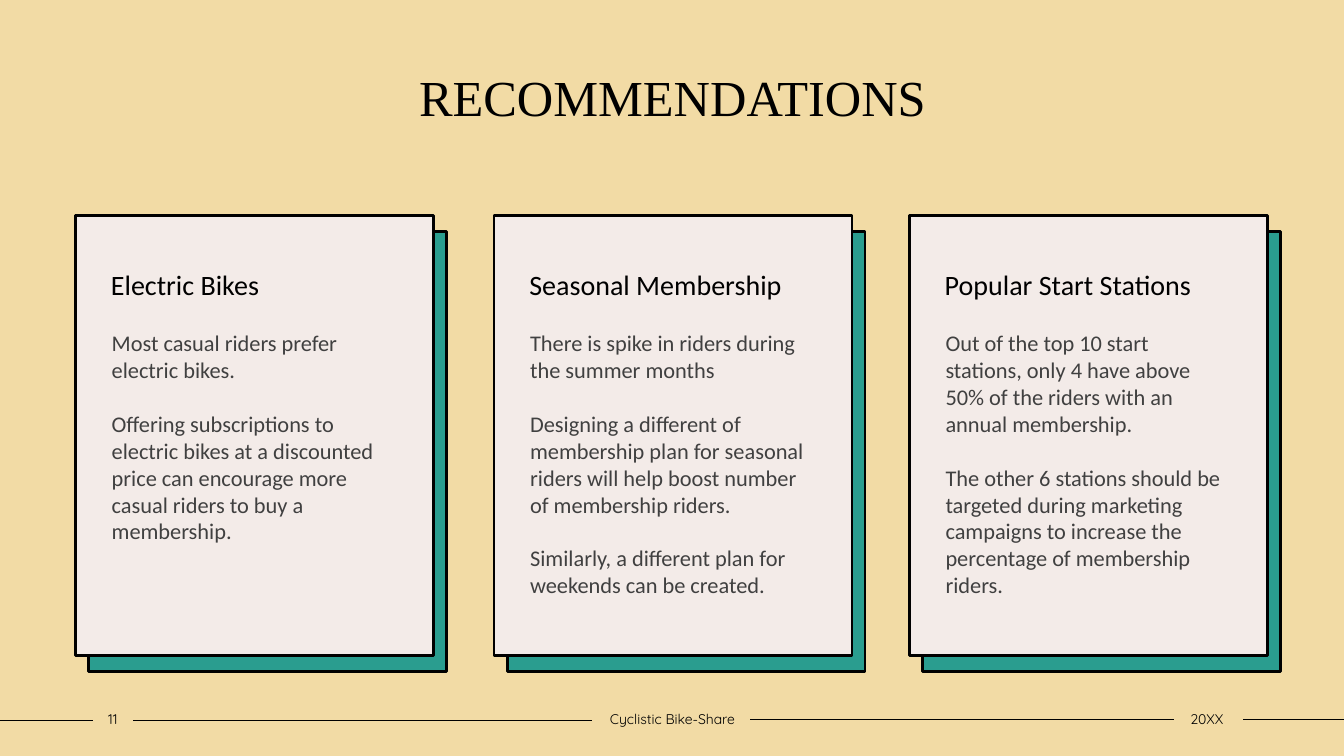
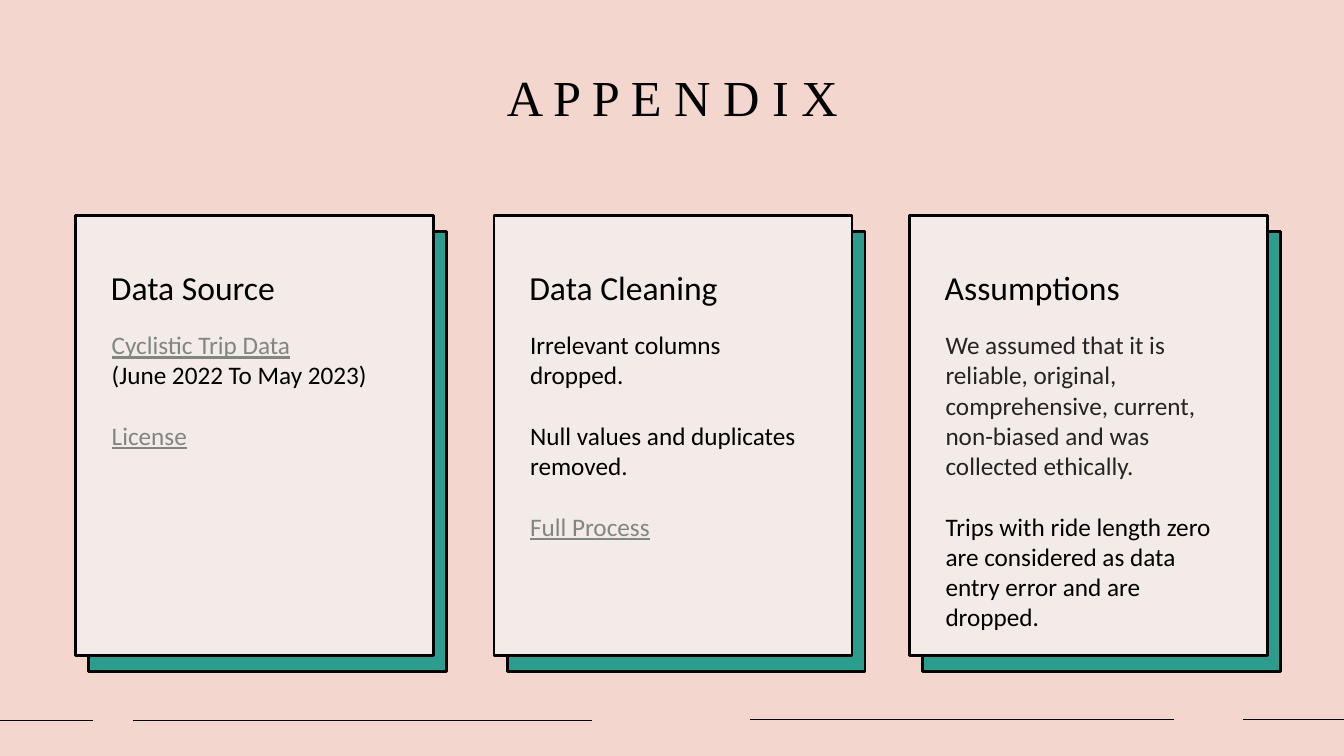
from lxml import etree
from pptx import Presentation
from pptx.dml.color import RGBColor
from pptx.enum.shapes import MSO_CONNECTOR, MSO_SHAPE
from pptx.enum.text import MSO_ANCHOR, PP_ALIGN
from pptx.oxml.ns import qn
from pptx.util import Inches, Pt

RECT, STRAIGHT = MSO_SHAPE.RECTANGLE, MSO_CONNECTOR.STRAIGHT
TOP, MIDDLE = MSO_ANCHOR.TOP, MSO_ANCHOR.MIDDLE
LEFT, CENTER = PP_ALIGN.LEFT, PP_ALIGN.CENTER

# Colours and fonts
SAND = RGBColor(0xF2, 0xDB, 0xA5)
PINK = RGBColor(0xF3, 0xD6, 0xCD)
TEAL = RGBColor(0x2A, 0x9D, 0x8F)
CARD = RGBColor(0xF3, 0xEB, 0xE8)
BLACK = RGBColor(0, 0, 0)
DARK = RGBColor(0x24, 0x24, 0x24)
GRAY = RGBColor(0x40, 0x40, 0x40)
LINK = RGBColor(0x82, 0x86, 0x83)
SERIF, SANS, FOOT = "Times New Roman", "Calibri", "Quicksand"

# Shared geometry, in inches
CARD_LEFTS = [0.75, 4.9, 9.02]
CARD_TOP, CARD_W, CARD_H = 2.14, 3.55, 4.36
FOOTER_LINES = [(0, 0.92, 7.15), (1.32, 5.87, 7.15),
                (7.44, 11.64, 7.14), (12.33, 13.33, 7.14)]
FOOTER_BOXES = [(0.92, 0.4), (5.87, 1.6), (11.62, 0.7)]

# Body paragraphs: text, colour, starts a new block
SLIDES = [
    {"title": "RECOMMENDATIONS", "bg": SAND, "head": 20, "body": 16,
     "footer": ["11", "Cyclistic Bike-Share", "20XX"],
     "cards": [
         ("Electric Bikes", [
             ("Most casual riders prefer electric bikes.", GRAY, False),
             ("Offering subscriptions to electric bikes at a discounted price "
              "can encourage more casual riders to buy a membership.", GRAY, True)]),
         ("Seasonal Membership", [
             ("There is spike in riders during the summer months", GRAY, False),
             ("Designing a different of membership plan for seasonal riders "
              "will help boost number of membership riders.", GRAY, True),
             ("Similarly, a different plan for weekends can be created.", GRAY, True)]),
         ("Popular Start Stations", [
             ("Out of the top 10 start stations, only 4 have above 50% of the "
              "riders with an annual membership.", GRAY, False),
             ("The other 6 stations should be targeted during marketing campaigns "
              "to increase the percentage of membership riders.", GRAY, True)])]},
    {"title": "A P P E N D I X", "bg": PINK, "head": 24, "body": 18,
     "footer": [],
     "cards": [
         ("Data Source", [
             ("Cyclistic Trip Data", LINK, False),
             ("(June 2022 To May 2023)", BLACK, False),
             ("License", LINK, True)]),
         ("Data Cleaning", [
             ("Irrelevant columns dropped.", BLACK, False),
             ("Null values and duplicates removed.", BLACK, True),
             ("Full Process", LINK, True)]),
         ("Assumptions", [
             ("We assumed that it is reliable, original, comprehensive, current, "
              "non-biased and was collected ethically.", DARK, False),
             ("Trips with ride length zero are considered as data entry error "
              "and are dropped.", BLACK, True)])]},
]


def write(sp, paragraphs, size, font=SANS, align=LEFT, anchor=TOP,
          insets=(0.1, 0.05, 0.1, 0.05), spacing=None):
    """Fill a shape with (text, colour, starts a new block) paragraphs."""
    tf = sp.text_frame
    tf.word_wrap = True
    tf.vertical_anchor = anchor
    (tf.margin_left, tf.margin_top,
     tf.margin_right, tf.margin_bottom) = [Inches(v) for v in insets]
    for i, (text, color, new_block) in enumerate(paragraphs):
        p = tf.add_paragraph() if i else tf.paragraphs[0]
        p.alignment = align
        if spacing:
            p.line_spacing = spacing
        if new_block:
            p.space_before = Pt(size * 1.2)
        r = p.add_run()
        r.text = text
        r.font.name, r.font.size = font, Pt(size)
        r.font.color.rgb = color
        if color == LINK:
            r.font.underline = True


def add_card(s, left, top, fill):
    sp = s.shapes.add_shape(RECT, Inches(left), Inches(top),
                            Inches(CARD_W), Inches(CARD_H))
    sp.shadow.inherit = False
    sp.fill.solid()
    sp.fill.fore_color.rgb = fill
    sp.line.color.rgb = BLACK
    sp.line.width = Pt(2)
    return sp


prs = Presentation()
prs.slide_width, prs.slide_height = Inches(13.33), Inches(7.5)

for data in SLIDES:
    s = prs.slides.add_slide(prs.slide_layouts[6])
    s.background.fill.solid()
    s.background.fill.fore_color.rgb = data["bg"]

    # Footer lines
    for x1, x2, y in FOOTER_LINES:
        line = s.shapes.add_connector(STRAIGHT, Inches(x1), Inches(y),
                                      Inches(x2), Inches(y))
        line.line.color.rgb = BLACK
        line.line.width = Pt(1)
        etree.SubElement(line._element.spPr, qn("a:effectLst"))

    # Title
    title = s.shapes.add_textbox(Inches(1.25), Inches(0.56),
                                 Inches(10.84), Inches(1.11))
    write(title, [(data["title"], BLACK, False)], 36, font=SERIF, align=CENTER,
          insets=(0.1, 0.1, 0.1, 0.05))

    # Cards, each on an offset teal backing
    for left, (heading, body) in zip(CARD_LEFTS, data["cards"]):
        add_card(s, left + 0.13, CARD_TOP + 0.16, TEAL)
        card = add_card(s, left, CARD_TOP, CARD)
        write(card, [(heading, BLACK, False)], data["head"],
              insets=(0.35, 0.55, 0.1, 0.05), spacing=0.9)
        box = s.shapes.add_textbox(Inches(left + 0.26), Inches(3.22),
                                   Inches(3), Inches(3.05))
        write(box, body, data["body"])

    # Footer text
    for (left, width), text in zip(FOOTER_BOXES, data["footer"]):
        box = s.shapes.add_textbox(Inches(left), Inches(7),
                                   Inches(width), Inches(0.27))
        write(box, [(text, BLACK, False)], 10, font=FOOT, align=CENTER,
              anchor=MIDDLE, insets=(0, 0.05, 0, 0.05))

prs.save("out.pptx")
